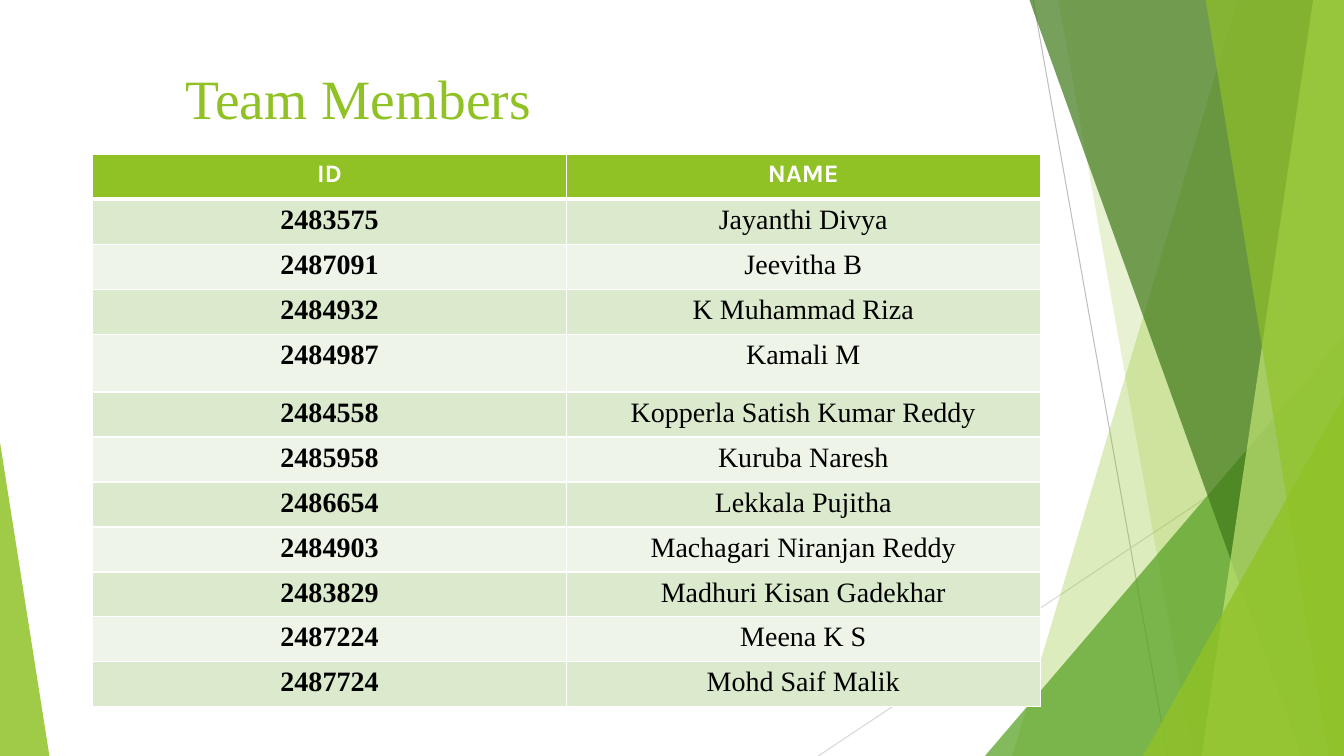
"""Build the Team Members slide with its green facet decoration."""
from pptx import Presentation
from pptx.dml.color import RGBColor
from pptx.enum import shapes, text
from pptx.oxml import parse_xml, ns
from pptx.util import Pt

WIDTH, HEIGHT = 960, 540
GREEN, WHITE, BLACK = "90C226", "FFFFFF", "000000"
BANDS = ["DBE9CD", "EEF4E8"]
SERIF, SANS = "Times New Roman", "Karla"

TITLE = "Team Members"
HEADINGS = ("ID", "NAME")
MEMBERS = [
    ("2483575", "Jayanthi Divya"),
    ("2487091", "Jeevitha B"),
    ("2484932", "K Muhammad Riza"),
    ("2484987", "Kamali M"),
    ("2484558", "Kopperla Satish Kumar Reddy"),
    ("2485958", "Kuruba Naresh"),
    ("2486654", "Lekkala Pujitha"),
    ("2484903", "Machagari Niranjan Reddy"),
    ("2483829", "Madhuri Kisan Gadekhar"),
    ("2487224", "Meena K S"),
    ("2487724", "Mohd Saif Malik"),
]
ROW, TALL_ROW, TALL_INDEX = 32.14, 41.4, 4
COLUMN = 338.4

RAYS = [((738, 0), (834, 540), "BFBFBF"), ((960, 290), (584.5, 540), "D9D9D9")]
FACETS = [
    ("band", 884, 723, GREEN, 30),
    ("band", 756, 852, GREEN, 20),
    ("triangle", 703.5, 240, 256.5, 1, "54A021", 72),
    ("band", 735.3, 929.5, "3F7819", 70),
    ("band", 938, 858.2, "C0E474", 70),
    ("band", 861.2, 949, GREEN, 65),
    ("triangle", 816.5, 283, 143.5, 1, GREEN, 80),
    ("triangle", 0, 316, 35.3, 0, GREEN, 85),
]


def paint(fill, color, opacity=100):
    fill.solid()
    fill.fore_color.rgb = RGBColor.from_string(color)
    if opacity < 100:
        srgb = fill._xPr.find(".//" + ns.qn("a:srgbClr"))
        srgb.append(parse_xml(f'<a:alpha {ns.nsdecls("a")} val="{opacity * 1000}"/>'))


def style(paragraph, size, face, color, bold=False):
    for run in paragraph.runs:
        run.font.size, run.font.name, run.font.bold = Pt(size), face, bold
        run.font.color.rgb = RGBColor.from_string(color)


def border(cell, bottom):
    sides = [("lnL", 1), ("lnR", 1), ("lnT", 1), ("lnB", bottom)]
    for index, (side, weight) in enumerate(sides):
        cell._tc.get_or_add_tcPr().insert(index, parse_xml(
            f'<a:{side} {ns.nsdecls("a")} w="{Pt(weight)}"><a:solidFill>'
            f'<a:srgbClr val="{WHITE}"/></a:solidFill></a:{side}>'))


def add_ray(slide, start, end, color):
    ray = slide.shapes.add_connector(
        shapes.MSO_CONNECTOR.STRAIGHT, *map(Pt, start + end))
    ray.line.width = Pt(0.75)
    ray.line.color.rgb = RGBColor.from_string(color)
    ray._element.spPr.append(parse_xml(f'<a:effectLst {ns.nsdecls("a")}/>'))


def add_facet(slide, kind, *geometry):
    *place, color, opacity = geometry
    if kind == "band":
        top_left, bottom_left = place
        builder = slide.shapes.build_freeform(Pt(top_left), Pt(0))
        corners = [(WIDTH, 0), (WIDTH, HEIGHT), (bottom_left, HEIGHT)]
        builder.add_line_segments([(Pt(x), Pt(y)) for x, y in corners])
        facet = builder.convert_to_shape()
    else:
        left, top, width, apex = place
        facet = slide.shapes.add_shape(
            shapes.MSO_SHAPE.ISOSCELES_TRIANGLE,
            Pt(left), Pt(top), Pt(width), Pt(HEIGHT - top))
        facet.adjustments[0] = apex
    facet.shadow.inherit = False
    facet.line.fill.background()
    paint(facet.fill, color, opacity)


def add_title(slide):
    title = slide.shapes.title
    title.left, title.top, title.width, title.height = map(Pt, (125.3, 41, 505.4, 56))
    frame = title.text_frame
    frame.text = TITLE
    frame.vertical_anchor = text.MSO_ANCHOR.BOTTOM
    frame.paragraphs[0].alignment = text.PP_ALIGN.LEFT
    style(frame.paragraphs[0], 39.6, SERIF, GREEN)


def add_members(slide):
    rows = [HEADINGS] + MEMBERS
    heights = [TALL_ROW if r == TALL_INDEX else ROW for r in range(len(rows))]
    table = slide.shapes.add_table(
        len(rows), len(HEADINGS), Pt(66.2), Pt(110.2),
        Pt(COLUMN * len(HEADINGS)), Pt(sum(heights))).table
    for column in table.columns:
        column.width = Pt(COLUMN)
    for r, values in enumerate(rows):
        table.rows[r].height = Pt(heights[r])
        for c, value in enumerate(values):
            cell = table.cell(r, c)
            cell.text = value
            paragraph = cell.text_frame.paragraphs[0]
            paragraph.alignment = text.PP_ALIGN.CENTER
            if r == 0:
                style(paragraph, 18, SANS, WHITE, True)
                paint(cell.fill, GREEN)
            else:
                cell.margin_left = cell.margin_right = Pt(5)
                cell.margin_top = cell.margin_bottom = Pt(3.6)
                style(paragraph, 20, SERIF, BLACK, c == 0)
                paint(cell.fill, BANDS[(r - 1) % 2])
            border(cell, 3 if r == 0 else 1)


def main():
    deck = Presentation()
    deck.slide_width, deck.slide_height = Pt(WIDTH), Pt(HEIGHT)
    slide = deck.slides.add_slide(deck.slide_layouts[5])
    for ray in RAYS:
        add_ray(slide, *ray)
    for facet in FACETS:
        add_facet(slide, *facet)
    add_title(slide)
    add_members(slide)
    deck.save("out.pptx")


if __name__ == "__main__":
    main()
